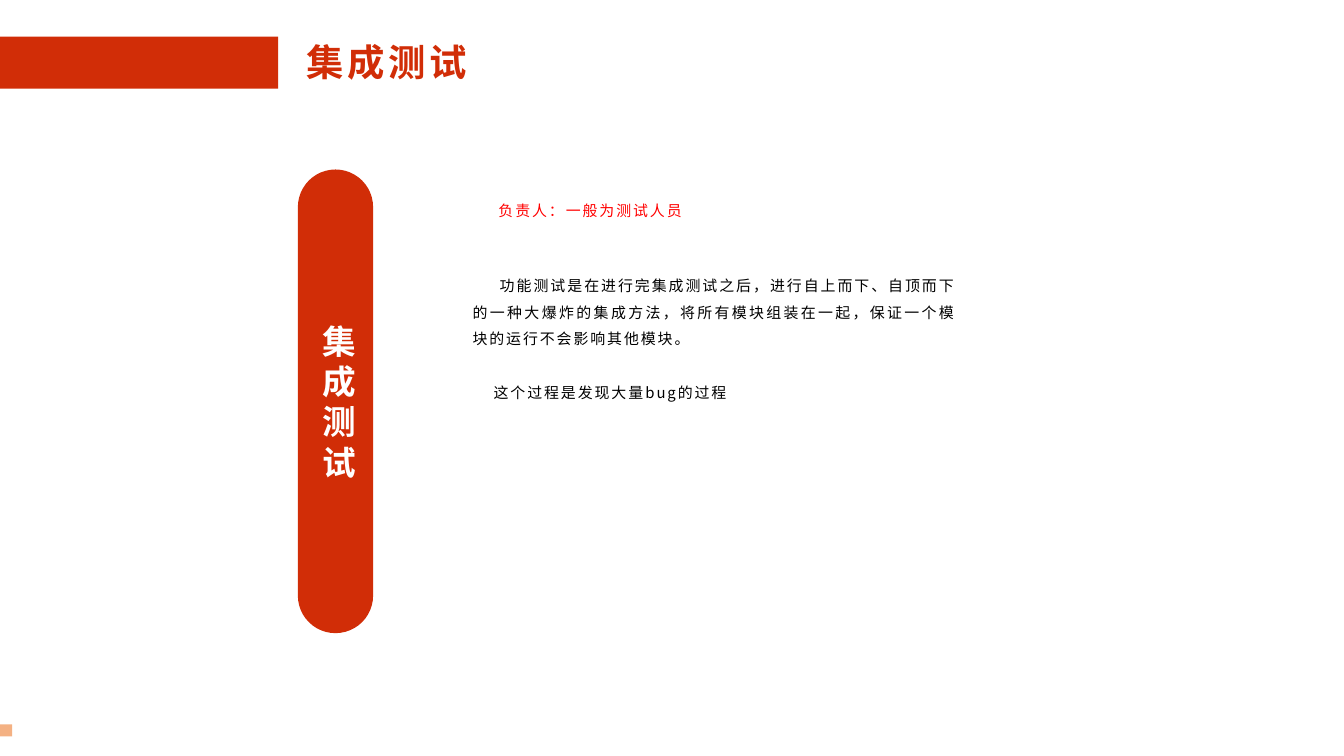
from lxml.etree import SubElement
from pptx import Presentation
from pptx.dml.color import RGBColor
from pptx.enum.shapes import MSO_SHAPE
from pptx.enum.text import MSO_ANCHOR, MSO_AUTO_SIZE, PP_ALIGN
from pptx.oxml.ns import qn
from pptx.util import Pt

FONT = "Noto Sans CJK SC"
RED = "D12D07"
ORANGE = "F4B183"
BRIGHT_RED = "FF0000"
BLACK = "000000"
WHITE = "FFFFFF"


def color(hex_code):
    return RGBColor.from_string(hex_code)


class SlideBuilder:
    """Holds the font and the slide being filled; lengths are in points."""

    def __init__(self, slide, font):
        self.slide = slide
        self.font = font

    def format_runs(self, paragraph, size, ink, bold=False, spacing=0):
        """Style Latin and East Asian text; spacing is in points."""
        for run in paragraph.runs:
            run.font.size = Pt(size)
            run.font.bold = bold
            run.font.name = self.font
            run.font.color.rgb = color(ink)
            properties = run.font._element
            SubElement(properties, qn("a:ea")).set("typeface", self.font)
            if spacing:
                properties.set("spc", str(spacing * 100))

    def block(self, left, top, width, height, fill, kind=MSO_SHAPE.RECTANGLE):
        shape = self.slide.shapes.add_shape(
            kind, Pt(left), Pt(top), Pt(width), Pt(height))
        shape.shadow.inherit = False
        shape.fill.solid()
        shape.fill.fore_color.rgb = color(fill)
        shape.line.fill.background()
        return shape

    def pill(self, left, top, width, height, fill, label):
        """Fully rounded bar, so narrow that its label stacks by character."""
        bar = self.block(left, top, width, height, fill,
                         MSO_SHAPE.ROUNDED_RECTANGLE)
        bar.adjustments[0] = 0.5
        frame = bar.text_frame
        frame.text = label
        frame.word_wrap = True
        frame.vertical_anchor = MSO_ANCHOR.MIDDLE
        frame.paragraphs[0].alignment = PP_ALIGN.CENTER
        self.format_runs(frame.paragraphs[0], 18, WHITE, bold=True)

    def text_frame(self, left, top, width, height):
        frame = self.slide.shapes.add_textbox(
            Pt(left), Pt(top), Pt(width), Pt(height)).text_frame
        frame.word_wrap = True
        return frame

    def line(self, left, top, width, height, text, size, ink,
             bold=False, spacing=0):
        frame = self.text_frame(left, top, width, height)
        frame.auto_size = MSO_AUTO_SIZE.SHAPE_TO_FIT_TEXT
        frame.text = text
        self.format_runs(frame.paragraphs[0], size, ink, bold, spacing)

    def body(self, left, top, width, height, passages, gap):
        """Justified passages, each a (text, first-line indent) pair."""
        frame = self.text_frame(left, top, width, height)
        frame.margin_left = frame.margin_right = 0
        frame.margin_top = frame.margin_bottom = 0
        for index, (text, indent) in enumerate(passages):
            paragraph = frame.add_paragraph() if index else frame.paragraphs[0]
            paragraph.text = text
            paragraph.alignment = PP_ALIGN.JUSTIFY
            paragraph.line_spacing = 1.5
            if index:
                paragraph.space_before = Pt(gap)
            paragraph._p.get_or_add_pPr().set("indent", str(Pt(indent)))
            self.format_runs(paragraph, 8, BLACK, spacing=1)


def main():
    presentation = Presentation()
    presentation.slide_width = Pt(720)
    presentation.slide_height = Pt(405)
    slide = presentation.slides.add_slide(presentation.slide_layouts[6])
    builder = SlideBuilder(slide, FONT)

    topic = "集成测试"
    builder.block(0, 19.6, 149, 28, RED)
    builder.line(157, 17.3, 178, 31.7, topic, 20, RED, bold=True, spacing=2)
    builder.pill(159.6, 90.8, 40.3, 248.4, RED, topic)
    builder.block(0, 388, 6.5, 6.5, ORANGE)

    builder.body(253.2, 143.3, 259.2, 138.2, [
        ("功能测试是在进行完集成测试之后，进行自上而下、自顶而下的一种大爆炸的集成方法，"
         "将所有模块组装在一起，保证一个模块的运行不会影响其他模块。", 14.5),
        ("这个过程是发现大量bug的过程", 11.3),
    ], gap=14.2)
    builder.line(260, 104.4, 360, 16.6, "负责人：一般为测试人员", 8,
                 BRIGHT_RED, spacing=1)

    presentation.save("out.pptx")


if __name__ == "__main__":
    main()
